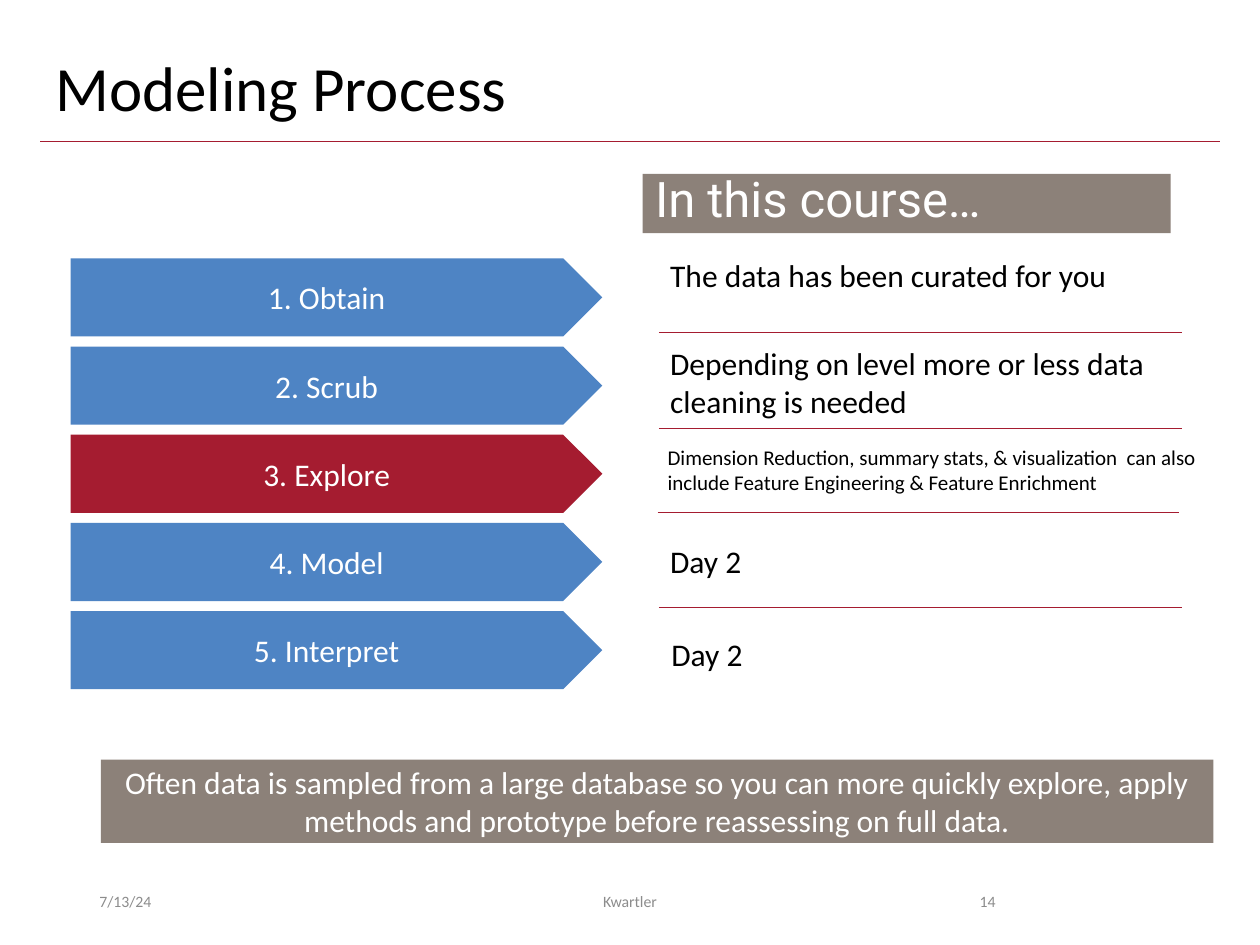
"""Build the Modeling Process slide."""
from lxml import etree
from pptx import Presentation
from pptx.dml.color import RGBColor
from pptx.enum.shapes import MSO_CONNECTOR, MSO_SHAPE
from pptx.enum.text import MSO_ANCHOR, PP_ALIGN
from pptx.oxml.ns import qn
from pptx.util import Inches, Pt

RECT, ARROW = MSO_SHAPE.RECTANGLE, MSO_SHAPE.PENTAGON
STRAIGHT = MSO_CONNECTOR.STRAIGHT
TOP, MID = MSO_ANCHOR.TOP, MSO_ANCHOR.MIDDLE
LEFT, MIDDLE, RIGHT = PP_ALIGN.LEFT, PP_ALIGN.CENTER, PP_ALIGN.RIGHT
BLACK = RGBColor(0x00, 0x00, 0x00)
WHITE = RGBColor(0xFF, 0xFF, 0xFF)
BLUE = RGBColor(0x4E, 0x84, 0xC4)
RED = RGBColor(0xA5, 0x1C, 0x30)
TAUPE = RGBColor(0x8C, 0x81, 0x79)
GRAY = RGBColor(0x8C, 0x8C, 0x8C)

TITLE = "Modeling Process"
HEAD = "In this course…"
STEPS = [
    ("1. Obtain", BLUE),
    ("2. Scrub", BLUE),
    ("3. Explore", RED),
    ("4. Model", BLUE),
    ("5. Interpret", BLUE),
]
NOTES = [
    ("The data has been curated for you", (5.22, 1.98, 4.18, 0.4), 18),
    ("Depending on level more or less data cleaning is needed",
     (5.22, 2.68, 4.78, 0.71), 18),
    ("Dimension Reduction, summary stats, & visualization  can also "
     "include Feature Engineering & Feature Enrichment",
     (5.2, 3.48, 4.55, 0.5), 12),
    ("Day 2", (5.22, 4.25, 4.78, 0.4), 18),
    ("Day 2", (5.23, 4.99, 4.78, 0.4), 18),
]
RULES = [
    (0.32, 9.68, 1.12),
    (5.23, 9.38, 2.64),
    (5.23, 9.38, 3.4),
    (5.22, 9.36, 4.07),
    (5.23, 9.38, 4.82),
]
BANNER = ("Often data is sampled from a large database so you can more quickly "
          "explore, apply methods and prototype before reassessing on full data.")
FOOT = [
    ("7/13/24", 0.69, 2.25, LEFT),
    ("Kwartler", 3.31, 3.38, MIDDLE),
    ("14", 7.06, 0.94, RIGHT),
]
STEP_TOP, STEP_GAP = 2.05, 0.7


def write(shape, text, size, color, align=LEFT, anchor=TOP, face="Calibri", space=None):
    frame = shape.text_frame
    frame.word_wrap = True
    frame.vertical_anchor = anchor
    para = frame.paragraphs[0]
    para.alignment = align
    if space:
        para.line_spacing = space
    run = para.add_run()
    run.text = text
    run.font.name = face
    run.font.size = Pt(size)
    run.font.color.rgb = color


def add_text(slide, box, *args, **opts):
    write(slide.shapes.add_textbox(*map(Inches, box)), *args, **opts)


def add_block(slide, kind, box, fill, *args, **opts):
    shape = slide.shapes.add_shape(kind, *map(Inches, box))
    shape.shadow.inherit = False
    shape.fill.solid()
    shape.fill.fore_color.rgb = fill
    shape.line.fill.background()
    write(shape, *args, **opts)


def add_rule(slide, left, right, top):
    rule = slide.shapes.add_connector(
        STRAIGHT, Inches(left), Inches(top), Inches(right), Inches(top))
    rule.line.color.rgb = RED
    rule.line.width = Pt(0.5)
    etree.SubElement(rule._element.spPr, qn("a:effectLst"))


def main():
    deck = Presentation()
    deck.slide_width, deck.slide_height = Inches(10), Inches(7.5)
    slide = deck.slides.add_slide(deck.slide_layouts[6])
    add_text(slide, (0.34, 0.4, 9.31, 0.65), TITLE, 36, BLACK, anchor=MID, space=0.9)
    for rule in RULES:
        add_rule(slide, *rule)
    add_block(slide, RECT, (5.1, 1.38, 4.19, 0.47), TAUPE,
              HEAD, 28, WHITE, face="Roboto", space=0.8)
    for row, (text, fill) in enumerate(STEPS):
        box = (0.56, STEP_TOP + row * STEP_GAP, 4.22, 0.62)
        add_block(slide, ARROW, box, fill, text, 18, WHITE, MIDDLE, MID)
    for text, box, size in NOTES:
        add_text(slide, box, text, size, BLACK)
    add_block(slide, RECT, (0.8, 6.03, 8.83, 0.66), TAUPE,
              BANNER, 18, WHITE, MIDDLE, MID)
    for text, left, width, align in FOOT:
        add_text(slide, (left, 6.95, width, 0.4), text, 9, GRAY, align, MID)
    deck.save("out.pptx")


if __name__ == "__main__":
    main()
